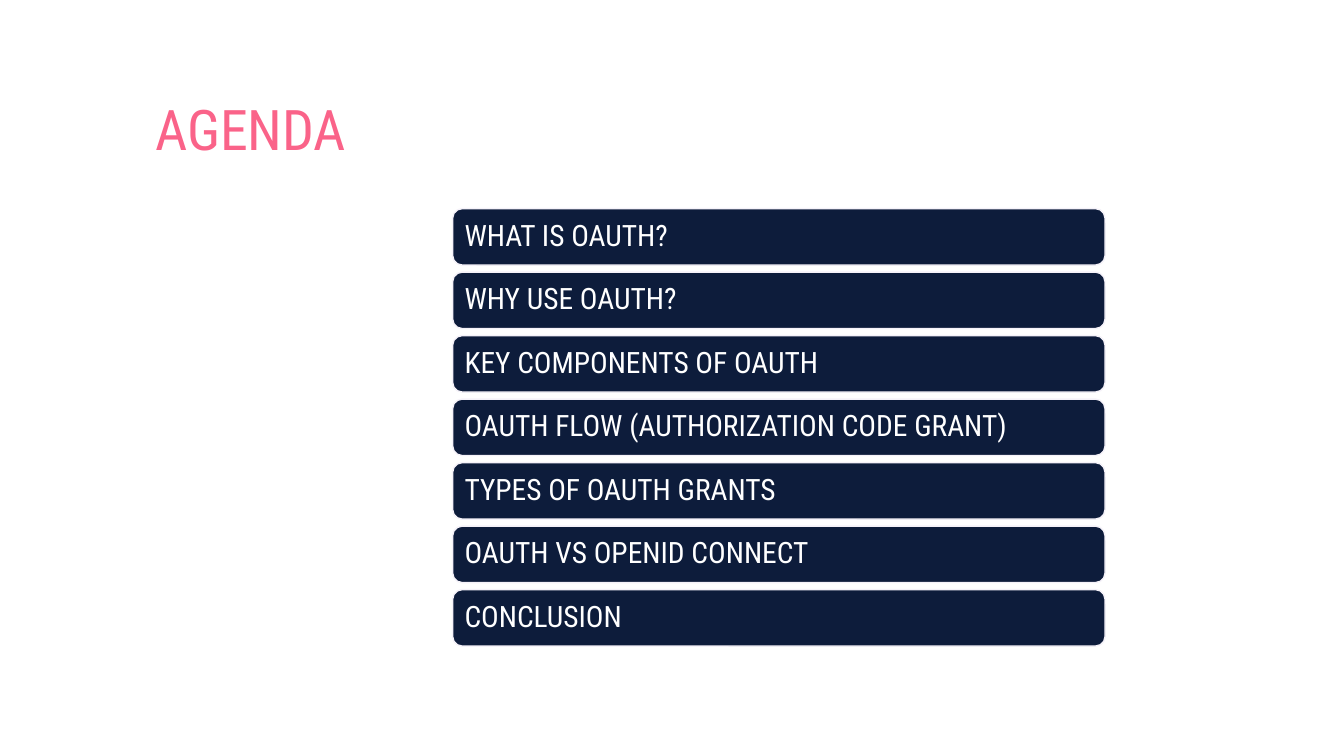
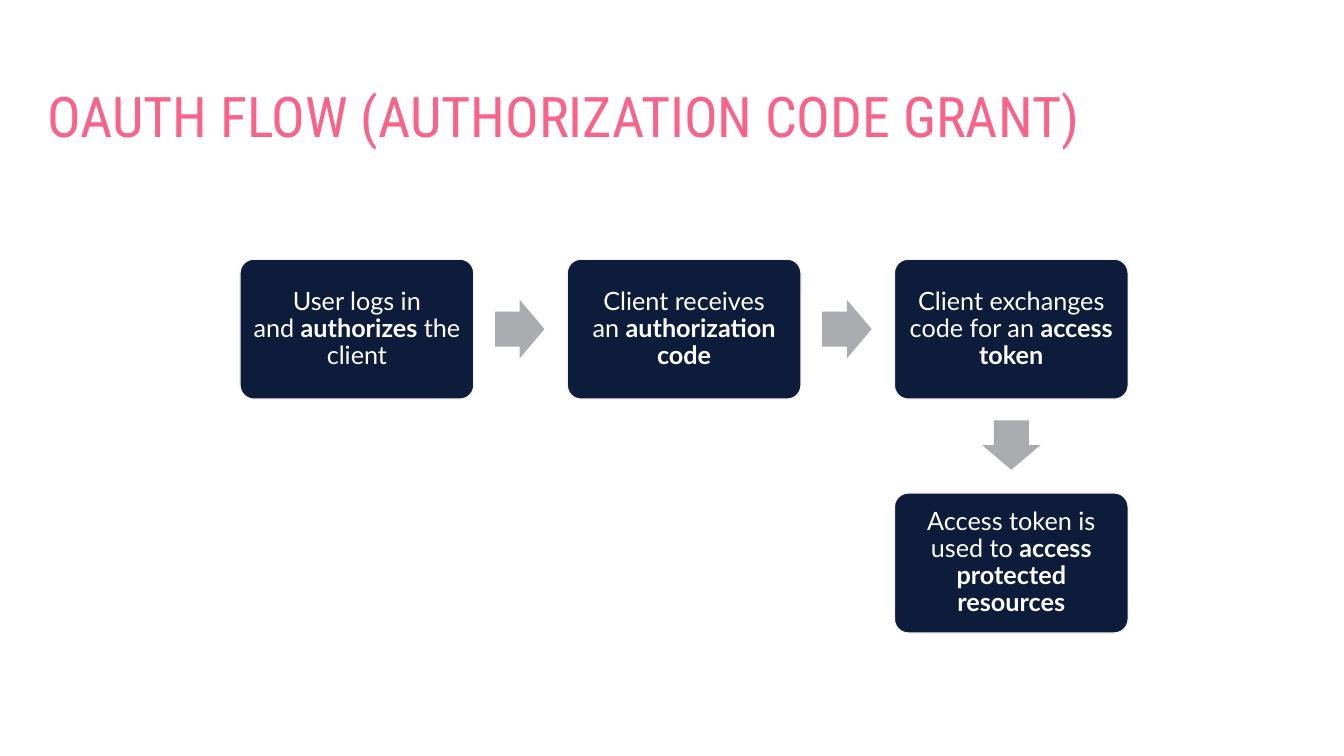
import pptx
import pptx.util
import pptx.dml.color
import pptx.enum.shapes
import pptx.enum.text
from dataclasses import dataclass

Inches, Pt = pptx.util.Inches, pptx.util.Pt
RGB = pptx.dml.color.RGBColor.from_string
SHAPE = pptx.enum.shapes.MSO_SHAPE
ALIGN = pptx.enum.text.PP_ALIGN
ANCHOR = pptx.enum.text.MSO_ANCHOR
NBSP = chr(160)  # keeps bold words on the line of their neighbours


@dataclass(frozen=True)
class Theme:
    title_color: str = "FA6389"
    box_fill: str = "0D1C3B"
    box_line: str = "F5F2F9"
    box_text: str = "FFFFFF"
    arrow_fill: str = "ABACAF"
    head_font: str = "Roboto Condensed"
    body_font: str = "Lato"
    title_size: int = 40
    agenda_size: int = 21
    step_size: int = 18


T = Theme()

AGENDA = [
    "WHAT IS OAUTH?",
    "WHY USE OAUTH?",
    "KEY COMPONENTS OF OAUTH",
    "OAUTH FLOW (AUTHORIZATION CODE GRANT)",
    "TYPES OF OAUTH GRANTS",
    "OAUTH VS OPENID CONNECT",
    "CONCLUSION",
]

# Each step: grid column, grid row, (text, bold) parts
STEPS = [
    (0, 0, [("User logs in and" + NBSP, False), ("authorizes", True),
            (NBSP + "the client", False)]),
    (1, 0, [("Client receives an" + NBSP, False),
            ("authorization code", True)]),
    (2, 0, [("Client exchanges code for an" + NBSP, False),
            ("access token", True)]),
    (2, 1, [("Access token is used to" + NBSP, False),
            ("access protected resources", True)]),
]


def add_run(p, text, font, size, color, bold=False):
    r = p.add_run()
    r.text = text
    for name, value in dict(name=font, size=Pt(size), bold=bold).items():
        setattr(r.font, name, value)
    r.font.color.rgb = RGB(color)


def add_title(s, text, box, anchor=ANCHOR.TOP):
    tf = s.shapes.add_textbox(*map(Inches, box)).text_frame
    tf.word_wrap = True
    tf.vertical_anchor = anchor
    p = tf.paragraphs[0]
    p.space_after = Pt(6)
    add_run(p, text, T.head_font, T.title_size, T.title_color)


def add_solid(s, kind, box, fill):
    sp = s.shapes.add_shape(kind, *map(Inches, box))
    sp.shadow.inherit = False
    sp.fill.solid()
    sp.fill.fore_color.rgb = RGB(fill)
    sp.line.fill.background()
    return sp


def add_card(s, box, parts, font, size, align, inset):
    """Dark rounded box holding one paragraph of (text, bold) parts."""
    sp = add_solid(s, SHAPE.ROUNDED_RECTANGLE, box, T.box_fill)
    sp.line.color.rgb = RGB(T.box_line)
    sp.line.width = Pt(1)
    tf = sp.text_frame
    tf.word_wrap = True
    tf.vertical_anchor = ANCHOR.MIDDLE
    for side in ("left", "top", "right", "bottom"):
        setattr(tf, f"margin_{side}", Inches(inset))
    p = tf.paragraphs[0]
    p.alignment = align
    p.line_spacing = 0.9
    for text, bold in parts:
        add_run(p, text, font, size, T.box_text, bold)
    return sp


def add_agenda(s, box, items, gap=0.07):
    """Stack of equal bars filling the box."""
    x, y, w, h = box
    pitch = (h + gap) / len(items)
    for i, item in enumerate(items):
        add_card(s, (x, y + i * pitch, w, pitch - gap), [(item, False)],
                 T.head_font, T.agenda_size, ALIGN.LEFT, 0.09)


def add_flow(s, box, steps, card_w=2.32, card_h=1.39):
    """Cards on a 3 by 2 grid, each joined to the next by a block arrow."""
    x, y, w, h = box
    pitch_x, pitch_y = (w - card_w) / 2, h - card_h
    arrow_w, arrow_h, gap = 0.49, 0.58, 0.21
    for i, (col, row, parts) in enumerate(steps):
        left, top = x + col * pitch_x, y + row * pitch_y
        sp = add_card(s, (left, top, card_w, card_h), parts,
                      T.body_font, T.step_size, ALIGN.CENTER, 0.07)
        sp.adjustments[0] = 0.1
        if i + 1 == len(steps):
            break
        # Arrow towards the next card: right in a row, down between rows
        down = steps[i + 1][1] > row
        cx, cy = left + card_w / 2, top + card_h / 2
        if down:
            cy = top + card_h + gap + arrow_w / 2
        else:
            cx = left + card_w + gap + arrow_w / 2
        arrow = add_solid(s, SHAPE.RIGHT_ARROW,
                          (cx - arrow_w / 2, cy - arrow_h / 2,
                           arrow_w, arrow_h), T.arrow_fill)
        arrow.adjustments[0] = 0.6
        arrow.adjustments[1] = 0.5
        arrow.rotation = 90 if down else 0


def agenda_slide(s):
    add_title(s, "AGENDA", (1.44, 0.89, 3.28, 4.55))
    add_agenda(s, (4.49, 2.07, 6.47, 4.34), AGENDA)


def flow_slide(s):
    add_title(s, "OAUTH FLOW (AUTHORIZATION CODE GRANT)",
              (0.37, 0.71, 11.91, 0.81), ANCHOR.BOTTOM)
    add_flow(s, (2.38, 2.57, 8.81, 3.71), STEPS)


def main():
    prs = pptx.Presentation()
    prs.slide_width, prs.slide_height = Inches(13.33), Inches(7.5)
    for build in (agenda_slide, flow_slide):
        build(prs.slides.add_slide(prs.slide_layouts[6]))
    prs.save("out.pptx")


if __name__ == "__main__":
    main()
